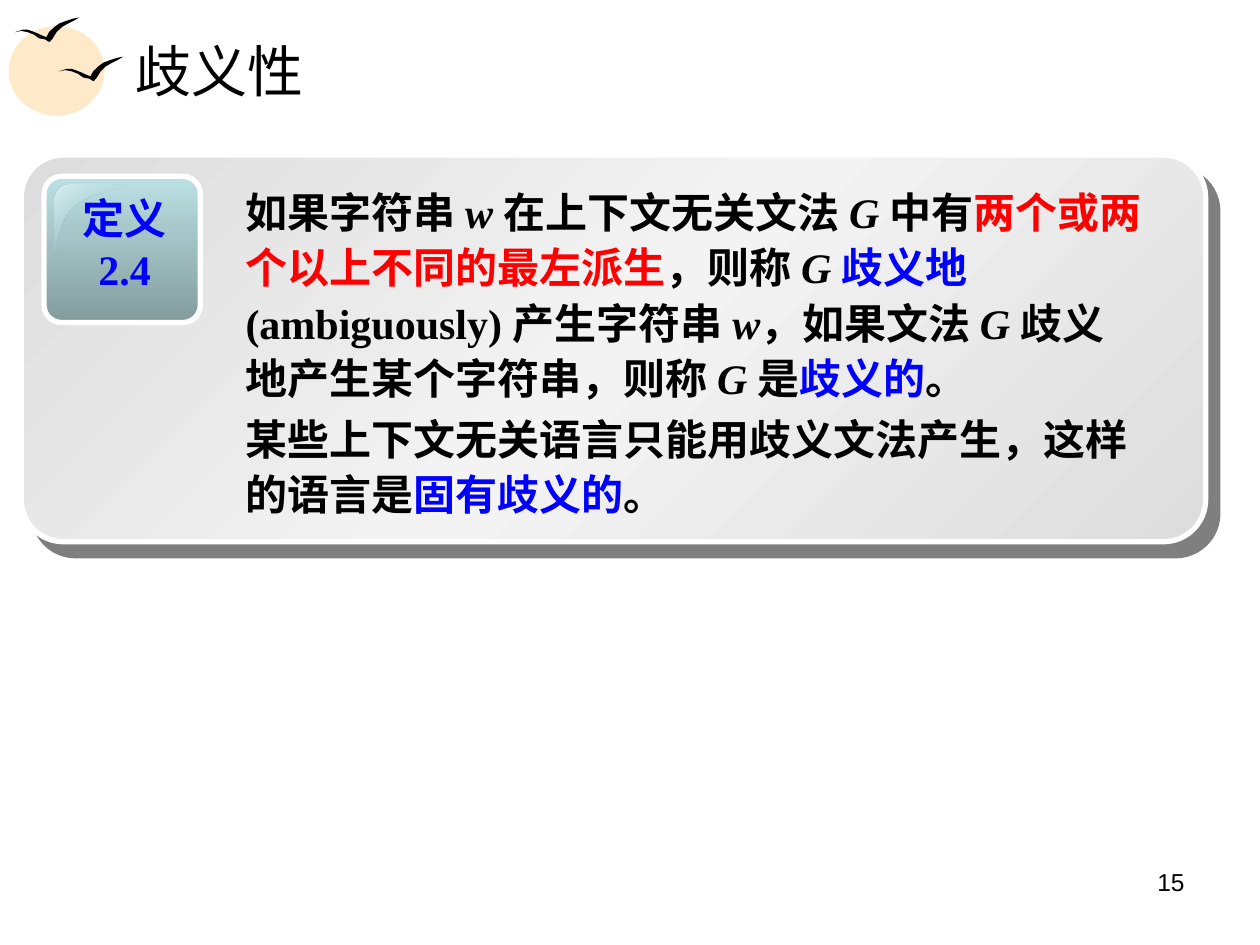
import dataclasses

import pptx
import pptx.dml.color
import pptx.enum.shapes
import pptx.enum.text
import pptx.oxml
import pptx.oxml.ns
import pptx.util

Pt = pptx.util.Pt
SHAPE = pptx.enum.shapes.MSO_SHAPE
ALIGN = pptx.enum.text.PP_ALIGN
ANCHOR = pptx.enum.text.MSO_ANCHOR
NS = pptx.oxml.ns.nsdecls("a")


@dataclasses.dataclass(frozen=True)
class Theme:
    black: str = "000000"
    white: str = "FFFFFF"
    red: str = "FF0000"
    blue: str = "0000FF"
    sun: str = "FEE9C8"
    panel: tuple = (("DDDDDD", 100), ("F3F3F3", 100), ("DDDDDD", 100))
    badge: tuple = (("BBE0E3", 100), ("839C9E", 100))
    gloss: tuple = (("DAEEF0", 100), ("BBE0E3", 0), ("DAEEF0", 100))
    serif: str = "Times New Roman"
    sans: str = "Arial"
    title_size: int = 32
    body_size: int = 24
    number_size: int = 14
    border: int = 3


T = Theme()

BIRD = [(0, 12), (3, 11), (6, 10), (10, 10), (13, 11), (18, 13), (22, 15),
        (25, 16), (27, 12), (31, 8), (35, 5), (40, 3), (46, 1), (51, 0),
        (46, 3), (42, 5), (37, 8), (33, 12), (30, 17), (28, 19.5), (27, 20),
        (24, 18), (19, 17), (15, 14), (10, 12), (5, 11)]

DEFINITION = [
    [("如果字符串 ", T.black, False), ("w ", T.black, True),
     ("在上下文无关文法 ", T.black, False), ("G ", T.black, True),
     ("中有", T.black, False), ("两个或两个以上不同的最左派生", T.red, False),
     ("，则称 ", T.black, False), ("G ", T.black, True),
     ("歧义地", T.blue, False), ("(ambiguously) 产生字符串 ", T.black, False),
     ("w", T.black, True), ("，如果文法 ", T.black, False),
     ("G ", T.black, True), ("歧义地产生某个字符串，则称 ", T.black, False),
     ("G ", T.black, True), ("是", T.black, False),
     ("歧义的", T.blue, False), ("。", T.black, False)],
    [("某些上下文无关语言只能用歧义文法产生，这样的语言是", T.black, False),
     ("固有歧义的", T.blue, False), ("。", T.black, False)],
]


def rgb(color):
    return pptx.dml.color.RGBColor.from_string(color)


def fill_solid(sp, color):
    sp.shadow.inherit = False
    sp.fill.solid()
    sp.fill.fore_color.rgb = rgb(color)
    sp.line.fill.background()


def fill_gradient(sp, stops, angle):
    sp.shadow.inherit = False
    sp.fill.background()
    last = len(stops) - 1
    marks = "".join(
        f'<a:gs pos="{i * 100000 // last}"><a:srgbClr val="{color}">'
        f'<a:alpha val="{alpha * 1000}"/></a:srgbClr></a:gs>'
        for i, (color, alpha) in enumerate(stops))
    grad = pptx.oxml.parse_xml(
        f'<a:gradFill {NS} rotWithShape="1"><a:gsLst>{marks}</a:gsLst>'
        f'<a:lin ang="{angle * 60000}" scaled="0"/></a:gradFill>')
    props = sp._element.spPr
    props.replace(props.find(pptx.oxml.ns.qn("a:noFill")), grad)


def add_shadow(sp, distance, angle):
    effects = sp._element.spPr.find(pptx.oxml.ns.qn("a:effectLst"))
    effects.append(pptx.oxml.parse_xml(
        f'<a:outerShdw {NS} blurRad="0" dist="{Pt(distance)}" '
        f'dir="{angle * 60000}" algn="ctr" rotWithShape="0">'
        f'<a:srgbClr val="{T.black}"><a:alpha val="50000"/></a:srgbClr>'
        f'</a:outerShdw>'))


def add_outline(s, points):
    points = [(Pt(x), Pt(y)) for x, y in points]
    builder = s.shapes.build_freeform(*points[0])
    builder.add_line_segments(points[1:], close=True)
    return builder.convert_to_shape()


def add_card(s, box, radius, stops, angle):
    sp = s.shapes.add_shape(SHAPE.ROUNDED_RECTANGLE, *map(Pt, box))
    sp.adjustments[0] = radius
    fill_gradient(sp, stops, angle)
    sp.line.color.rgb = rgb(T.white)
    sp.line.width = Pt(T.border)
    return sp


def add_text(s, box, paragraphs, size, font=T.serif, bold=False,
             align=ALIGN.LEFT, anchor=ANCHOR.TOP, spacing=None, before=0):
    tf = s.shapes.add_textbox(*map(Pt, box)).text_frame
    tf.word_wrap = True
    tf.vertical_anchor = anchor
    for i, runs in enumerate(paragraphs):
        p = tf.add_paragraph() if i else tf.paragraphs[0]
        p.alignment = align
        p.line_spacing = spacing
        if i and before:
            p.space_before = Pt(before)
        for text, color, italic in runs:
            r = p.add_run()
            r.text = text
            r.font.name = font
            r.font.size = Pt(size)
            r.font.bold = bold
            r.font.italic = italic
            r.font.color.rgb = rgb(color)


def bezier(p0, p1, p2, p3, steps=12):
    for k in range(1, steps + 1):
        t = k / steps
        u = 1 - t
        yield tuple(u**3 * a + 3 * u * u * t * b + 3 * u * t * t * c + t**3 * d
                    for a, b, c, d in zip(p0, p1, p2, p3))


def draw_emblem(s, x, y):
    for dx, dy, w, h in ((0, 5, 54.7, 51.1), (9.4, 10, 45.4, 39.6)):
        sun = s.shapes.add_shape(SHAPE.OVAL, Pt(x + dx), Pt(y + dy), Pt(w), Pt(h))
        fill_solid(sun, T.sun)
    for dx, dy in ((28.8, 22.4), (3.6, 0)):
        bird = add_outline(s, [(x + dx + 0.72 * px, y + dy + 0.7 * py)
                               for px, py in BIRD])
        fill_solid(bird, T.black)


def draw_badge(s, x, y, w, h):
    add_card(s, (x, y, w, h), 0.119, T.badge, 90)
    corner = [(8.6, 0), *bezier((8.6, 0), (3.6, 0), (0, 3.6), (0, 8.6)),
              (0, 41.8),
              *bezier((0, 41.8), (1.4, 41.8), (0.7, 21.6), (11.5, 12.2)),
              *bezier((11.5, 12.2), (23, 2.9), (44.6, 2.2), (43.2, 0))]
    gloss = add_outline(s, [(x + 5.8 + px, y + 5 + py) for px, py in corner])
    fill_gradient(gloss, T.gloss, 45)
    gloss.line.fill.background()
    add_text(s, (x + 12.2, y + 5.8, w - 21.6, h - 18.7),
             [[(text, T.blue, False)] for text in ("定义", "2.4")],
             T.body_size, bold=True, align=ALIGN.CENTER)


def draw_definition(s, x, y, w, h):
    panel = add_card(s, (x, y, w, h), 0.109, T.panel, 45)
    add_shadow(panel, 10.6, 49)
    draw_badge(s, x + 13, y + 12.2, 89.3, 83.5)
    add_text(s, (x + 121, y + 11.5, w - 149.8, h - 20.9), DEFINITION,
             T.body_size, bold=True, spacing=1.1, before=3)


def main():
    prs = pptx.Presentation()
    prs.slide_width, prs.slide_height = Pt(720), Pt(540)
    s = prs.slides.add_slide(prs.slide_layouts[6])
    draw_emblem(s, 5, 10)
    add_text(s, (516.2, 491.8, 167.8, 37.4), [[("15", T.black, False)]],
             T.number_size, font=T.sans, align=ALIGN.RIGHT)
    add_text(s, (70.6, 15.1, 614.2, 49.7), [[("歧义性", T.black, False)]],
             T.title_size, anchor=ANCHOR.MIDDLE)
    draw_definition(s, 12.2, 88.6, 676.8, 221)
    prs.save("out.pptx")


if __name__ == "__main__":
    main()
